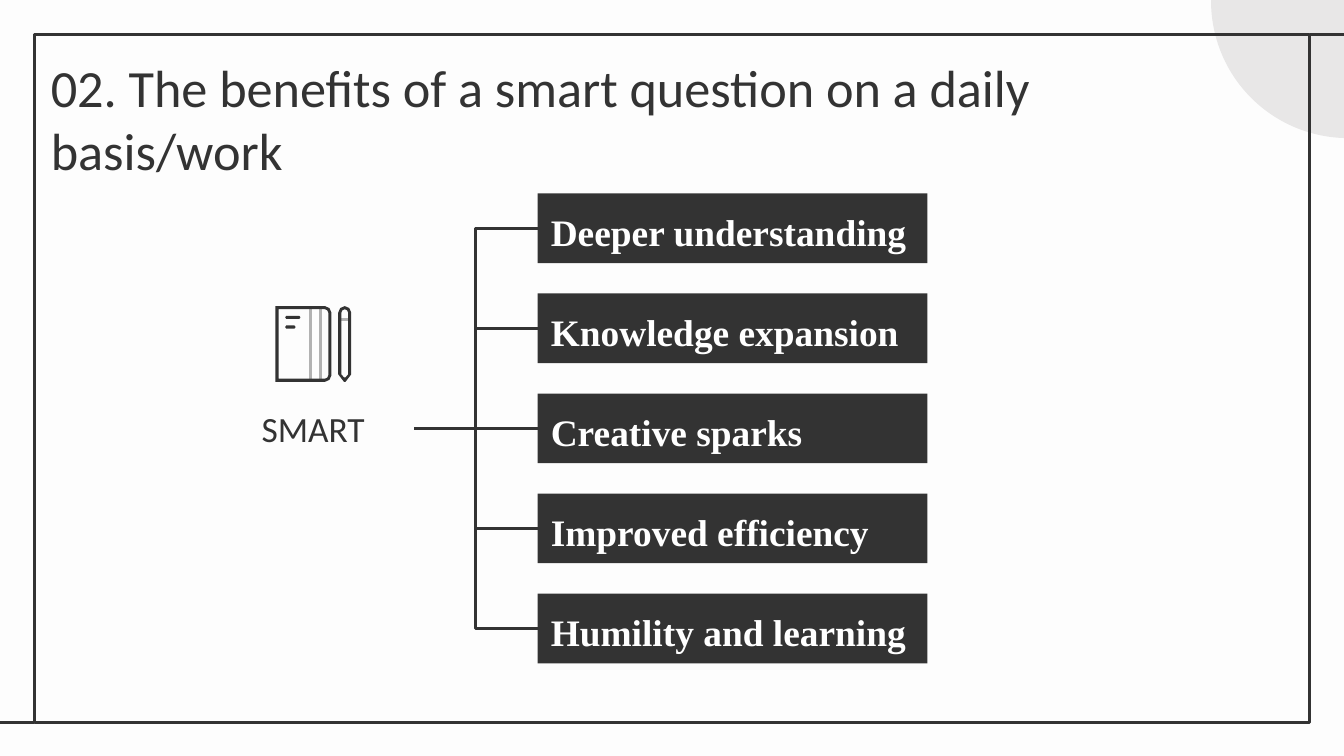
from typing import NamedTuple

from lxml.etree import SubElement
from pptx import Presentation
from pptx.dml.color import RGBColor
from pptx.enum.shapes import MSO_CONNECTOR, MSO_SHAPE
from pptx.enum.text import MSO_ANCHOR, MSO_AUTO_SIZE, PP_ALIGN
from pptx.oxml.ns import qn
from pptx.util import Pt

DARK = RGBColor(0x33, 0x33, 0x33)
GREY = RGBColor(0xB2, 0xB2, 0xB2)
PALE = RGBColor(0xE8, 0xE7, 0xE7)
PAPER = RGBColor(0xFD, 0xFD, 0xFD)
WHITE = RGBColor(0xFF, 0xFF, 0xFF)
WIDTH, HEIGHT = 720, 405
STROKE = 1.5


class Box(NamedTuple):
    left: float
    top: float
    width: float
    height: float


class Part(NamedTuple):
    """One piece of the icon: closed outlines, the second one a hole."""
    rings: list
    fill: RGBColor


def write(shape, text: str, *, size: float, color=DARK, font="Calibri",
          bold=False, align=PP_ALIGN.LEFT, anchor=MSO_ANCHOR.MIDDLE,
          spacing=1.0) -> None:
    frame = shape.text_frame
    frame.word_wrap = True
    frame.auto_size = MSO_AUTO_SIZE.NONE
    frame.vertical_anchor = anchor
    frame.margin_left = frame.margin_right = Pt(7.2)
    frame.margin_top = frame.margin_bottom = Pt(7.2)
    para = frame.paragraphs[0]
    para.alignment, para.line_spacing = align, spacing
    run = para.add_run()
    run.text = text
    run.font.name, run.font.size, run.font.bold = font, Pt(size), bold
    run.font.color.rgb = color


def paint(shape, fill=None, line=None) -> None:
    shape.shadow.inherit = False
    if fill is None:
        shape.fill.background()
    else:
        shape.fill.solid()
        shape.fill.fore_color.rgb = fill
    if line is None:
        shape.line.fill.background()
    else:
        shape.line.color.rgb = line
        shape.line.width = Pt(STROKE)


def add_box(slide, kind, box: Box, fill=None, line=None):
    shape = slide.shapes.add_shape(kind, *map(Pt, box))
    paint(shape, fill, line)
    return shape


def add_link(slide, kind, start=(0, 0), end=(0, 0)):
    link = slide.shapes.add_connector(kind, *map(Pt, (*start, *end)))
    link.line.color.rgb = DARK
    link.line.width = Pt(STROKE)
    SubElement(link._element.spPr, qn("a:effectLst"))
    return link


def add_part(slide, part: Part) -> None:
    first, *holes = [[(Pt(x), Pt(y)) for x, y in ring] for ring in part.rings]
    pen = slide.shapes.build_freeform(*first[0], scale=1.0)
    pen.add_line_segments(first[1:], close=True)
    for hole in holes:
        pen.move_to(*hole[0])
        pen.add_line_segments(hole[1:], close=True)
    paint(pen.convert_to_shape(), part.fill)


def bar(x: float, y: float, w: float, h: float) -> list:
    return [(x, y), (x + w, y), (x + w, y + h), (x, y + h)]


def dash(x: float, y: float, w: float) -> list:
    """A short pill, 1.7 points high."""
    return [(x + 0.6, y), (x + w - 0.6, y), (x + w, y + 0.85),
            (x + w - 0.6, y + 1.7), (x + 0.6, y + 1.7), (x, y + 0.85)]


def cover(inset: float, r: float) -> list:
    """The notebook's edge, rounded on the right by r."""
    left, right = 147.6 + inset, 177.6 - inset
    top, base = 164 + inset, 204.6 - inset
    return [(left, top), (right - r, top), (right - 0.3 * r, top + 0.3 * r),
            (right, top + r), (right, base - r),
            (right - 0.3 * r, base - 0.3 * r), (right - r, base), (left, base)]


def pencil(inset: float) -> list:
    left, right, top = 181.2 + inset, 188.2 - inset, 164 + inset
    mid, r = 184.7, (right - left) / 2
    return [(left, top + r), (left + 0.3 * r, top + 0.3 * r), (mid, top),
            (right - 0.3 * r, top + 0.3 * r), (right, top + r),
            (right, 200.6), (mid + 0.4, 204.6 - 1.4 * inset),
            (mid - 0.4, 204.6 - 1.4 * inset), (left, 200.6)]


BENEFITS = ["Deeper understanding", "Knowledge expansion", "Creative sparks",
            "Improved efficiency", "Humility and learning"]
FIRST = Box(288, 103.6, 208.8, 37.4)
STEP = 53.6
ICON = [
    Part([bar(170.7, 165, 1.6, 38.7)], GREY),
    Part([bar(165.4, 165, 1.6, 38.7)], GREY),
    Part([bar(182.2, 170.6, 5, 1.6)], GREY),
    Part([cover(0, 3.5), cover(1.7, 1.8)], DARK),
    Part([pencil(0), pencil(1.7)], DARK),
    Part([dash(152.8, 169.2, 8.2)], DARK),
    Part([dash(152.8, 174.4, 5.6)], DARK),
]


def main() -> None:
    deck = Presentation()
    deck.slide_width, deck.slide_height = Pt(WIDTH), Pt(HEIGHT)
    slide = deck.slides.add_slide(deck.slide_layouts[5])
    slide.background.fill.solid()
    slide.background.fill.fore_color.rgb = PAPER

    # Corner circle, frame and the lines that run off the frame
    add_box(slide, MSO_SHAPE.OVAL, Box(648.8, -73, 147, 147), PALE)
    frame = Box(18.3, 18.3, 683.4, 368.7)
    add_box(slide, MSO_SHAPE.RECTANGLE, frame, line=DARK)
    base = frame.top + frame.height
    add_link(slide, MSO_CONNECTOR.STRAIGHT, (0, base), (frame.left, base))
    add_link(slide, MSO_CONNECTOR.STRAIGHT,
             (frame.left + frame.width, frame.top), (WIDTH, frame.top))

    # Title
    title = slide.shapes.title
    title.left, title.top = Pt(20), Pt(22.3)
    title.width, title.height = Pt(663), Pt(45.4)
    write(title, "02. The benefits of a smart question on a daily basis/work",
          size=28, anchor=MSO_ANCHOR.TOP)

    # Notebook and pencil with their label
    for part in ICON:
        add_part(slide, part)
    label = slide.shapes.add_textbox(*map(Pt, (113.8, 210.8, 108, 37.4)))
    write(label, "SMART", size=19, align=PP_ALIGN.CENTER,
          anchor=MSO_ANCHOR.BOTTOM, spacing=1.15)

    # Benefits, each joined to the label
    for i, text in enumerate(BENEFITS):
        place = FIRST._replace(top=FIRST.top + i * STEP)
        box = add_box(slide, MSO_SHAPE.RECTANGLE, place, DARK)
        write(box, text, size=20, color=WHITE, font="Times New Roman",
              bold=True, spacing=1.15)
        link = add_link(slide, MSO_CONNECTOR.ELBOW)
        link.begin_connect(label, 3)
        link.end_connect(box, 1)

    deck.save("out.pptx")


if __name__ == "__main__":
    main()
